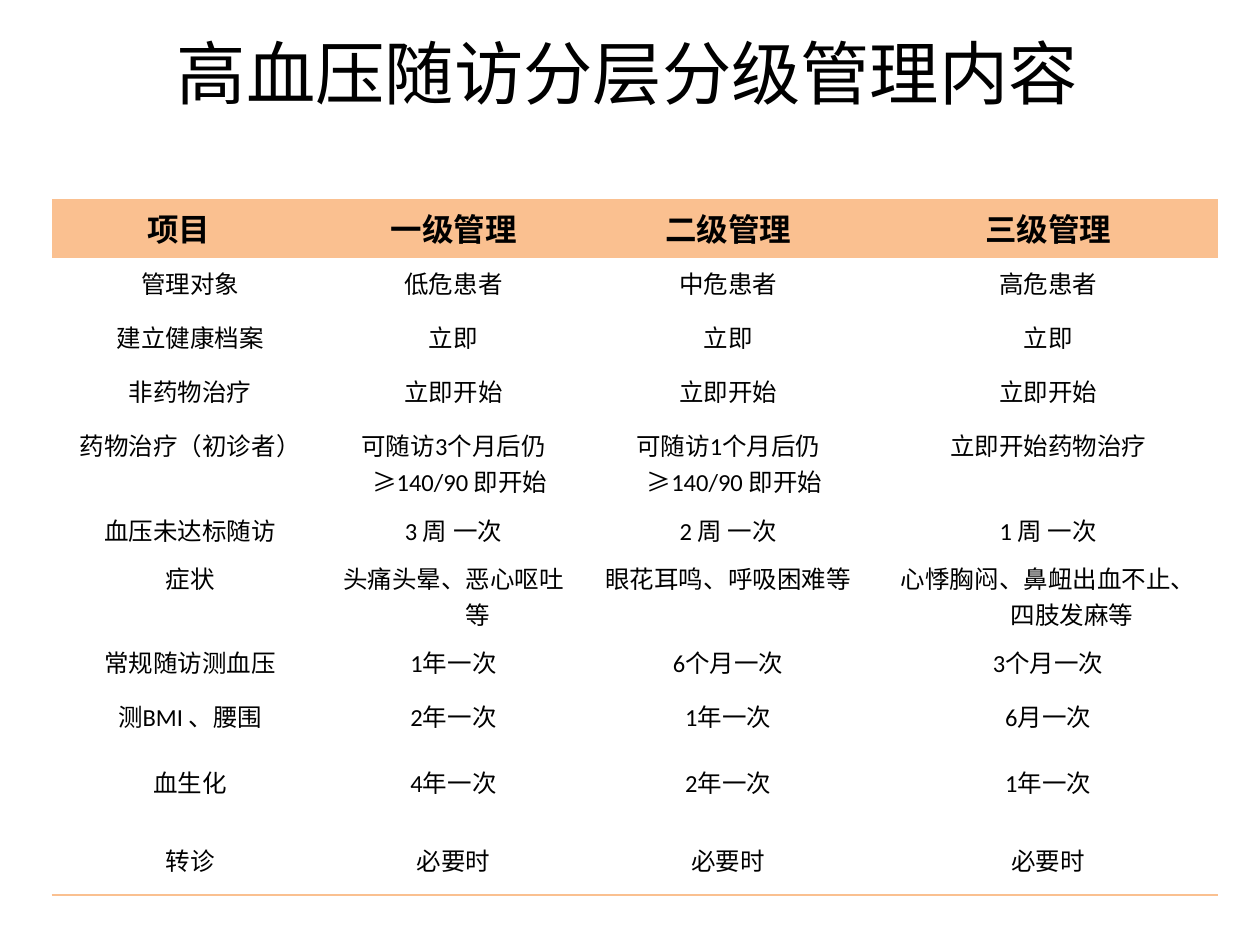
from pptx import Presentation
from pptx.util import Inches, Pt
from pptx.dml.color import RGBColor
from pptx.enum.text import PP_ALIGN, MSO_ANCHOR
from pptx.oxml.ns import qn
from lxml.etree import SubElement

BLACK = RGBColor(0, 0, 0)
PEACH = RGBColor(0xFA, 0xC0, 0x90)
LATIN, CJK = "Calibri", "Noto Sans CJK SC"
PLAIN_STYLE = "{2D5ABB26-0587-4C30-8999-92F81FD0307C}"

TITLE = "高血压随访分层分级管理内容"
ROWS = [
    (0.47, ["项目", "一级管理", "二级管理", "三级管理"]),
    (0.43, ["管理对象", "低危患者", "中危患者", "高危患者"]),
    (0.43, ["建立健康档案", "立即", "立即", "立即"]),
    (0.43, ["非药物治疗", "立即开始", "立即开始", "立即开始"]),
    (0.67, ["药物治疗（初诊者）", "可随访3个月后仍≥140/90 即开始",
            "可随访1个月后仍≥140/90 即开始", "立即开始药物治疗"]),
    (0.38, ["血压未达标随访", "3 周 一次", "2 周 一次", "1 周 一次"]),
    (0.67, ["症状", "头痛头晕、恶心呕吐等", "眼花耳鸣、呼吸困难等",
            "心悸胸闷、鼻衄出血不止、四肢发麻等"]),
    (0.43, ["常规随访测血压", "1年一次", "6个月一次", "3个月一次"]),
    (1.14, ["测BMI 、腰围\n血生化", "2年一次\n4年一次",
            "1年一次\n2年一次", "6月一次\n1年一次"]),
    (0.47, ["转诊", "必要时", "必要时", "必要时"]),
]
COLS = [2.2, 1.98, 2.38, 2.7]


def add_run(p, text, size, font, bold=False):
    """Add one centred run with Latin and East Asian fonts."""
    p.alignment = PP_ALIGN.CENTER
    r = p.add_run()
    r.text = text
    r.font.size, r.font.bold, r.font.name = Pt(size), bold, font
    r.font.color.rgb = BLACK
    SubElement(r.font._element, qn("a:ea"), typeface=CJK)


def fill_cell(cell, text, header):
    """Write the lines of a cell with a hanging indent."""
    hang = Inches(0.1 if "≥" in text else 0.38)
    for i, line in enumerate(text.split("\n")):
        p = cell.text_frame.add_paragraph() if i else cell.text_frame.paragraphs[0]
        pPr = p._p.get_or_add_pPr()
        pPr.set("marL", str(hang))
        pPr.set("indent", str(-hang))
        if i:
            p.space_before = Pt(17)
        add_run(p, line, 18 if header else 14, LATIN, header)
    if header:
        cell.fill.solid()
        cell.fill.fore_color.rgb = PEACH
    else:
        cell.fill.background()


def underline_cell(cell):
    """Draw the bottom border of a cell."""
    ln = SubElement(cell._tc.get_or_add_tcPr(), qn("a:lnB"), w=str(Pt(1)))
    fill = SubElement(ln, qn("a:solidFill"))
    SubElement(fill, qn("a:srgbClr"), val=str(PEACH))
    cell._tc.tcPr.insert(0, ln)


def main():
    """Build the slide and save it."""
    prs = Presentation()
    prs.slide_width, prs.slide_height = Inches(10), Inches(7.5)
    s = prs.slides.add_slide(prs.slide_layouts[5])

    title = s.shapes.title
    title.left, title.top = Inches(0.38), Inches(0.24)
    title.width, title.height = Inches(9.31), Inches(0.66)
    tf = title.text_frame
    tf.vertical_anchor = MSO_ANCHOR.MIDDLE
    tf.margin_right = Inches(0.21)
    add_run(tf.paragraphs[0], TITLE, 39.6, CJK)

    height = sum(h for h, _ in ROWS)
    table = s.shapes.add_table(len(ROWS), len(COLS), Inches(0.41), Inches(1.58),
                               Inches(sum(COLS)), Inches(height)).table
    table.first_row = table.horz_banding = False
    table._tbl.tblPr.find(qn("a:tableStyleId")).text = PLAIN_STYLE
    for col, width in zip(table.columns, COLS):
        col.width = Inches(width)
    for i, (h, texts) in enumerate(ROWS):
        table.rows[i].height = Inches(h)
        for j, text in enumerate(texts):
            fill_cell(table.cell(i, j), text, i == 0)
    table.cell(0, 0).margin_right = Inches(0.28)
    for cell in table.rows[len(ROWS) - 1].cells:
        underline_cell(cell)

    prs.save("out.pptx")


if __name__ == "__main__":
    main()
